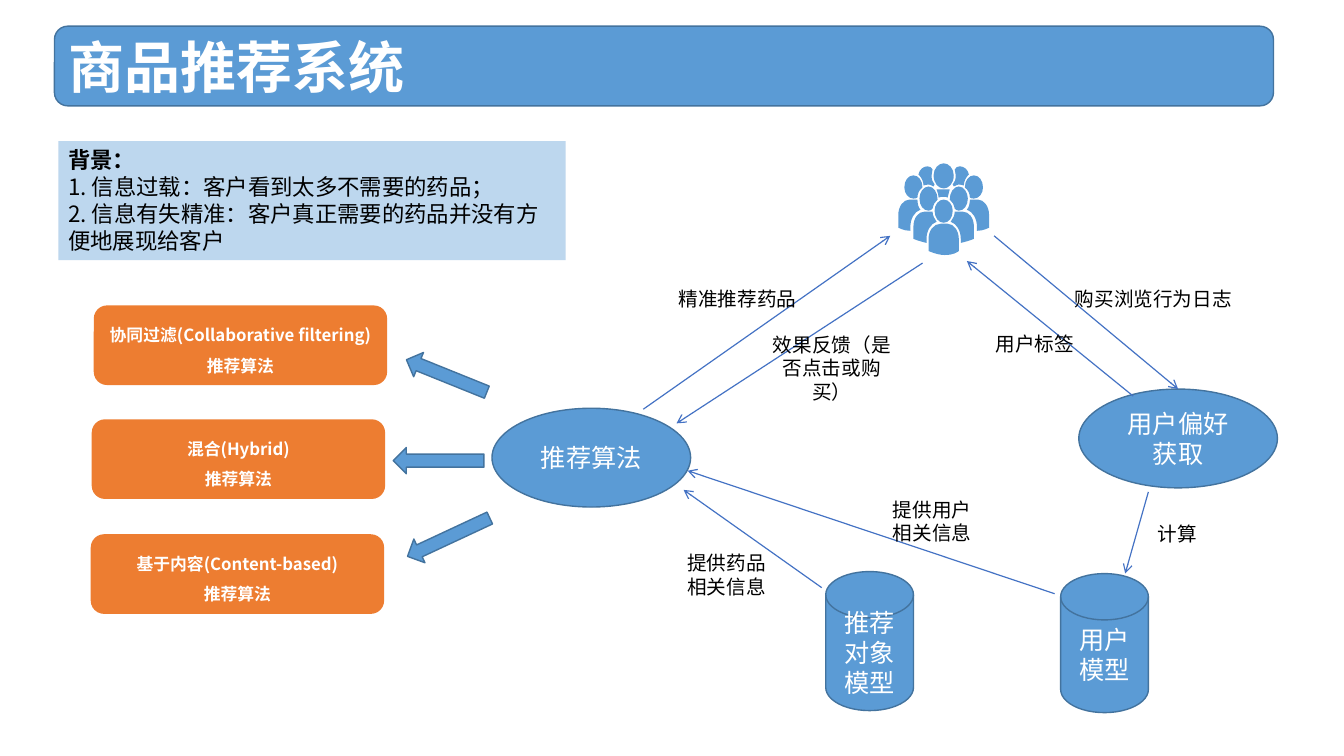
"""Build the product recommendation system slide."""
from dataclasses import dataclass
from typing import Optional

from lxml.etree import SubElement
from pptx import Presentation
from pptx.dml.color import RGBColor
from pptx.enum.shapes import MSO_CONNECTOR as Link, MSO_SHAPE as Form
from pptx.enum.text import MSO_ANCHOR as Anchor, MSO_AUTO_SIZE as Fit, PP_ALIGN as Align
from pptx.oxml.ns import qn
from pptx.shapes.autoshape import Shape
from pptx.slide import Slide
from pptx.util import Inches, Pt

BLUE = RGBColor(0x5B, 0x9B, 0xD5)
EDGE = RGBColor(0x43, 0x73, 0x9E)
ARROW = RGBColor(0x44, 0x72, 0xC4)
PALE = RGBColor(0xBD, 0xD7, 0xEE)
ORANGE = RGBColor(0xED, 0x7D, 0x31)
WHITE = RGBColor(0xFF, 0xFF, 0xFF)
BLACK = RGBColor(0, 0, 0)
SANS = "Noto Sans CJK SC"
CROWD_AXIS = 9.36
Point = tuple[float, float]
Contour = list[tuple[float, ...]]


@dataclass(frozen=True)
class Style:
    size: float
    color: RGBColor = WHITE
    bold: bool = False
    font: str = SANS
    align: Align = Align.CENTER
    spacing: float = 1.0


@dataclass(frozen=True)
class Block:
    form: Form
    left: float
    top: float
    width: float
    height: float
    text: str = ""
    style: Style = Style(18)
    fill: RGBColor = BLUE
    edge: Optional[RGBColor] = EDGE
    rotation: float = 0
    anchor: Anchor = Anchor.MIDDLE


@dataclass(frozen=True)
class Label:
    text: str
    left: float
    top: float
    width: float
    height: float = 0.34


@dataclass(frozen=True)
class Flow:
    start: Point
    end: Point


CARD_STYLE = Style(12, bold=True, spacing=1.5)
PREFERENCE = Block(Form.OVAL, 10.7, 3.86, 1.97, 0.98, "用户偏好\n获取")
BACKGROUND = Block(
    Form.RECTANGLE, 0.58, 1.4, 5.03, 1.18,
    "背景：\n1. 信息过载：客户看到太多不需要的药品；\n"
    "2. 信息有失精准：客户真正需要的药品并没有方便地展现给客户",
    Style(16, BLACK, align=Align.LEFT), PALE, None, anchor=Anchor.TOP)
BLOCKS = [
    Block(Form.FLOWCHART_MAGNETIC_DISK, 10.52, 5.69, 0.87, 1.38, "用户模型"),
    Block(Form.FLOWCHART_MAGNETIC_DISK, 8.19, 5.67, 0.87, 1.38, "推荐对象模型"),
    Block(Form.OVAL, 4.88, 4.05, 1.97, 0.98, "推荐算法"),
    Block(Form.LEFT_ARROW, 4, 3.6, 0.86, 0.26, rotation=22),
    Block(Form.LEFT_ARROW, 3.9, 4.44, 0.9, 0.26),
    Block(Form.LEFT_ARROW, 4, 5.2, 0.9, 0.26, rotation=335),
    Block(Form.ROUNDED_RECTANGLE, 0.54, 0.26, 12.09, 0.79, "商品推荐系统",
          Style(40, bold=True, font="Calibri", align=Align.LEFT)),
]
CARDS = [
    (0.93, 3.03, "协同过滤(Collaborative filtering)"),
    (0.91, 4.16, "混合(Hybrid)"),
    (0.9, 5.3, "基于内容(Content-based)"),
]
LABELS = [
    Label("用户标签", 9.59, 3.24, 1.35),
    Label("效果反馈（是否点击或购买）", 7.53, 3.25, 1.44, 0.57),
    Label("精准推荐药品", 6.33, 2.8, 1.97),
    Label("计算", 11.24, 5.13, 0.88),
    Label("购买浏览行为日志", 10.56, 2.8, 1.76),
    Label("提供用户相关信息", 8.68, 4.89, 1.13, 0.57),
    Label("提供药品相关信息", 6.64, 5.42, 1.13, 0.57),
]
BROWSING = Flow((9.86, 2.34), (11.68, 3.86))
FLOWS = [
    Flow((11.24, 3.93), (9.59, 2.59)),
    Flow((9.15, 2.61), (6.71, 4.2)),
    Flow((6.38, 4.06), (8.83, 2.34)),
    Flow((11.39, 4.88), (11.16, 5.69)),
    Flow((10.46, 5.89), (6.82, 4.67)),
    Flow((8.15, 5.83), (6.78, 4.86)),
]
MIDDLE_CONTOURS: list[Contour] = [
    [(9.33, 2.22), (9.4, 2.22), (9.46, 2.22, 9.51, 2.29, 9.51, 2.37), (9.51, 2.49),
     (9.5, 2.5, 9.46, 2.53, 9.37, 2.53), (9.33, 2.53, 9.28, 2.52, 9.21, 2.49),
     (9.21, 2.37), (9.21, 2.29, 9.26, 2.22, 9.33, 2.22)],
    [(9.36, 1.98), (9.41, 1.98, 9.45, 2.03, 9.45, 2.09), (9.45, 2.16, 9.41, 2.21, 9.36, 2.21),
     (9.31, 2.21, 9.27, 2.16, 9.27, 2.09), (9.27, 2.03, 9.31, 1.98, 9.36, 1.98)],
    [(9.32, 1.88), (9.4, 1.88), (9.42, 1.88), (9.41, 1.9, 9.41, 1.93, 9.4, 1.96),
     (9.39, 1.95, 9.33, 1.95, 9.31, 1.96), (9.31, 1.93, 9.3, 1.91, 9.29, 1.88)],
    [(9.36, 1.62), (9.41, 1.62, 9.46, 1.67, 9.46, 1.74), (9.46, 1.82, 9.41, 1.87, 9.36, 1.87),
     (9.31, 1.87, 9.26, 1.82, 9.26, 1.74), (9.26, 1.67, 9.31, 1.62, 9.36, 1.62)],
]
SIDE_CONTOURS: list[Contour] = [
    [(9.17, 2.1), (9.25, 2.1), (9.25, 2.14, 9.27, 2.17, 9.29, 2.2),
     (9.23, 2.22, 9.19, 2.29, 9.19, 2.37), (9.19, 2.41), (9.15, 2.4, 9.11, 2.39, 9.06, 2.37),
     (9.06, 2.25), (9.06, 2.16, 9.11, 2.1, 9.17, 2.1)],
    [(9.02, 1.98), (9.1, 1.98), (9.1, 2.02, 9.11, 2.06, 9.13, 2.08),
     (9.07, 2.1, 9.03, 2.17, 9.03, 2.25), (9.03, 2.29), (8.96, 2.29, 8.92, 2.26, 8.91, 2.26),
     (8.91, 2.13), (8.91, 2.05, 8.96, 1.98, 9.02, 1.98)],
    [(9.21, 1.85), (9.26, 1.85, 9.3, 1.91, 9.3, 1.98), (9.27, 2, 9.26, 2.03, 9.25, 2.07),
     (9.24, 2.08, 9.23, 2.09, 9.21, 2.09), (9.16, 2.09, 9.12, 2.04, 9.12, 1.97),
     (9.12, 1.91, 9.16, 1.85, 9.21, 1.85)],
    [(9.06, 1.74), (9.11, 1.74, 9.15, 1.79, 9.15, 1.86), (9.12, 1.88, 9.1, 1.92, 9.1, 1.96),
     (9.09, 1.97, 9.07, 1.97, 9.06, 1.97), (9.01, 1.97, 8.97, 1.92, 8.97, 1.86),
     (8.97, 1.79, 9.01, 1.74, 9.06, 1.74)],
    [(9.2, 1.65), (9.22, 1.65, 9.24, 1.66, 9.25, 1.68), (9.25, 1.7, 9.24, 1.72, 9.24, 1.74),
     (9.24, 1.78, 9.25, 1.81, 9.27, 1.83), (9.26, 1.85), (9.24, 1.84, 9.22, 1.83, 9.21, 1.83),
     (9.19, 1.83, 9.17, 1.84, 9.16, 1.84), (9.16, 1.8, 9.14, 1.76, 9.11, 1.73),
     (9.12, 1.68, 9.16, 1.65, 9.2, 1.65)],
]


def write_text(box: Shape, text: str, style: Style) -> None:
    box.text_frame.word_wrap = True
    box.text_frame.text = text
    for para in box.text_frame.paragraphs:
        para.alignment, para.line_spacing = style.align, style.spacing
        for span in para.runs:
            span.font.size, span.font.bold = Pt(style.size), style.bold
            span.font.color.rgb, span.font.name = style.color, style.font
            SubElement(span._r.get_or_add_rPr(), qn("a:ea"), typeface=style.font)


def paint(shape: Shape, fill: RGBColor, edge: Optional[RGBColor]) -> None:
    shape.shadow.inherit = False
    shape.fill.solid()
    shape.fill.fore_color.rgb = fill
    if edge is None:
        shape.line.fill.background()
    else:
        shape.line.color.rgb, shape.line.width = edge, Pt(1)


def draw_block(page: Slide, block: Block) -> Shape:
    place = map(Inches, (block.left, block.top, block.width, block.height))
    shape = page.shapes.add_shape(block.form, *place)
    paint(shape, block.fill, block.edge)
    shape.rotation = block.rotation
    shape.text_frame.vertical_anchor = block.anchor
    if block.text:
        write_text(shape, block.text, block.style)
    return shape


def draw_label(page: Slide, label: Label) -> None:
    box = page.shapes.add_textbox(*map(Inches, (label.left, label.top, label.width, label.height)))
    write_text(box, label.text, Style(14, BLACK))
    box.text_frame.auto_size = Fit.SHAPE_TO_FIT_TEXT


def draw_flow(page: Slide, flow: Flow, target: Optional[Shape] = None) -> None:
    line = page.shapes.add_connector(Link.STRAIGHT, *map(Inches, flow.start + flow.end))
    line.line.color.rgb, line.line.width = ARROW, Pt(0.85)
    SubElement(line.get_or_add_ln(), qn("a:tailEnd"), type="arrow")
    SubElement(line.element.spPr, qn("a:effectLst"))
    if target is not None:
        line.end_connect(target, 0)


def mirror(contour: Contour) -> Contour:
    return [tuple(round(value if i % 2 else 2 * CROWD_AXIS - value, 2)
                  for i, value in enumerate(piece)) for piece in contour]


def draw_crowd(page: Slide) -> None:
    contours = MIDDLE_CONTOURS + SIDE_CONTOURS + [mirror(side) for side in SIDE_CONTOURS]
    builder = page.shapes.build_freeform(*map(Inches, contours[0][0]))
    for number, (start, *pieces) in enumerate(contours):
        if number:
            builder.move_to(*map(Inches, start))
        builder.add_line_segments([(Inches(piece[i]), Inches(piece[i + 1]))
                                   for piece in pieces for i in range(0, len(piece), 2)])
    crowd = builder.convert_to_shape()
    paint(crowd, BLUE, None)
    segments = iter(list(crowd.element.iter(qn("a:lnTo"))))
    for piece in (piece for contour in contours for piece in contour[1:]):
        segment = next(segments)
        if len(piece) == 6:
            segment.tag = qn("a:cubicBezTo")
            for extra in (next(segments), next(segments)):
                segment.append(extra[0])
                extra.getparent().remove(extra)


def main() -> None:
    deck = Presentation()
    deck.slide_width, deck.slide_height = Inches(13.33), Inches(7.5)
    page = deck.slides.add_slide(deck.slide_layouts[6])
    for block in BLOCKS:
        draw_block(page, block)
    for left, top, method in CARDS:
        draw_block(page, Block(Form.ROUNDED_RECTANGLE, left, top, 2.91, 0.79,
                               f"{method}\n推荐算法", CARD_STYLE, ORANGE, None))
    background = draw_block(page, BACKGROUND)
    background.text_frame.paragraphs[0].runs[0].font.bold = True
    draw_crowd(page)
    draw_flow(page, BROWSING, draw_block(page, PREFERENCE))
    for flow in FLOWS:
        draw_flow(page, flow)
    for label in LABELS:
        draw_label(page, label)
    deck.save("out.pptx")


if __name__ == "__main__":
    main()
